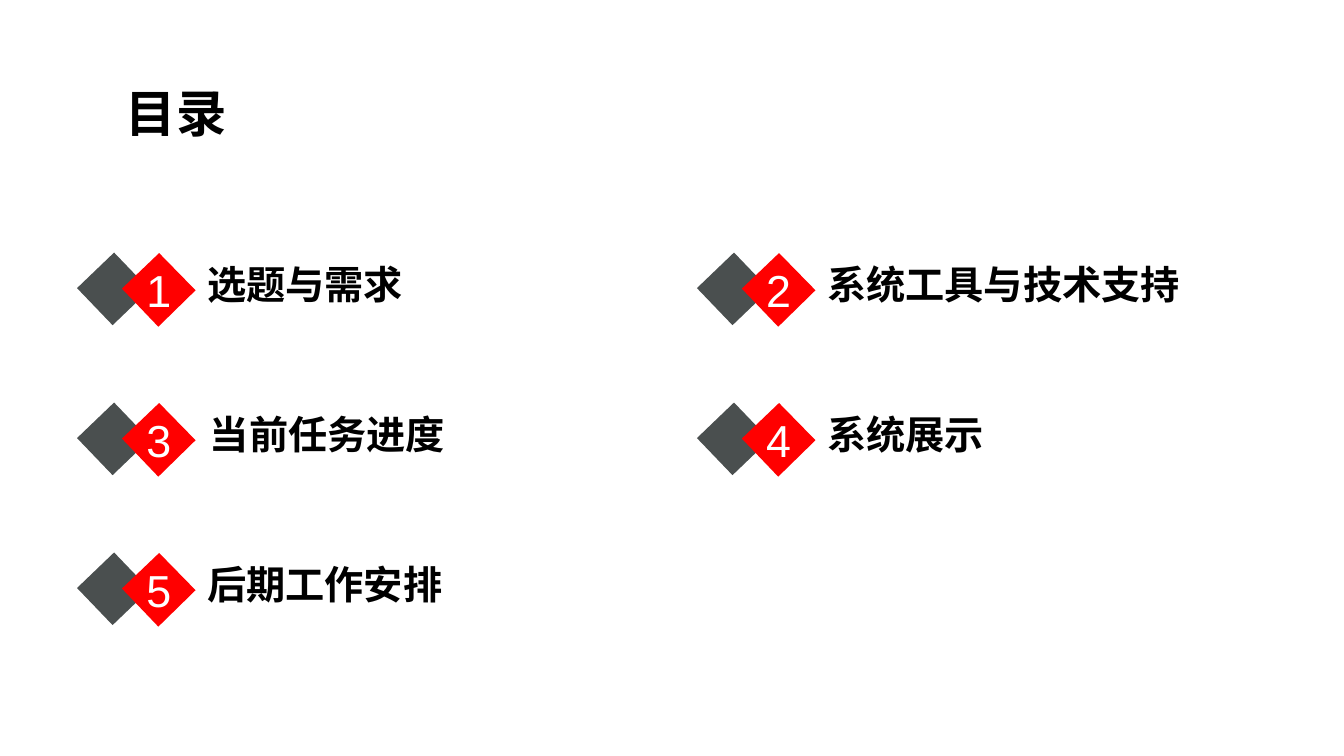
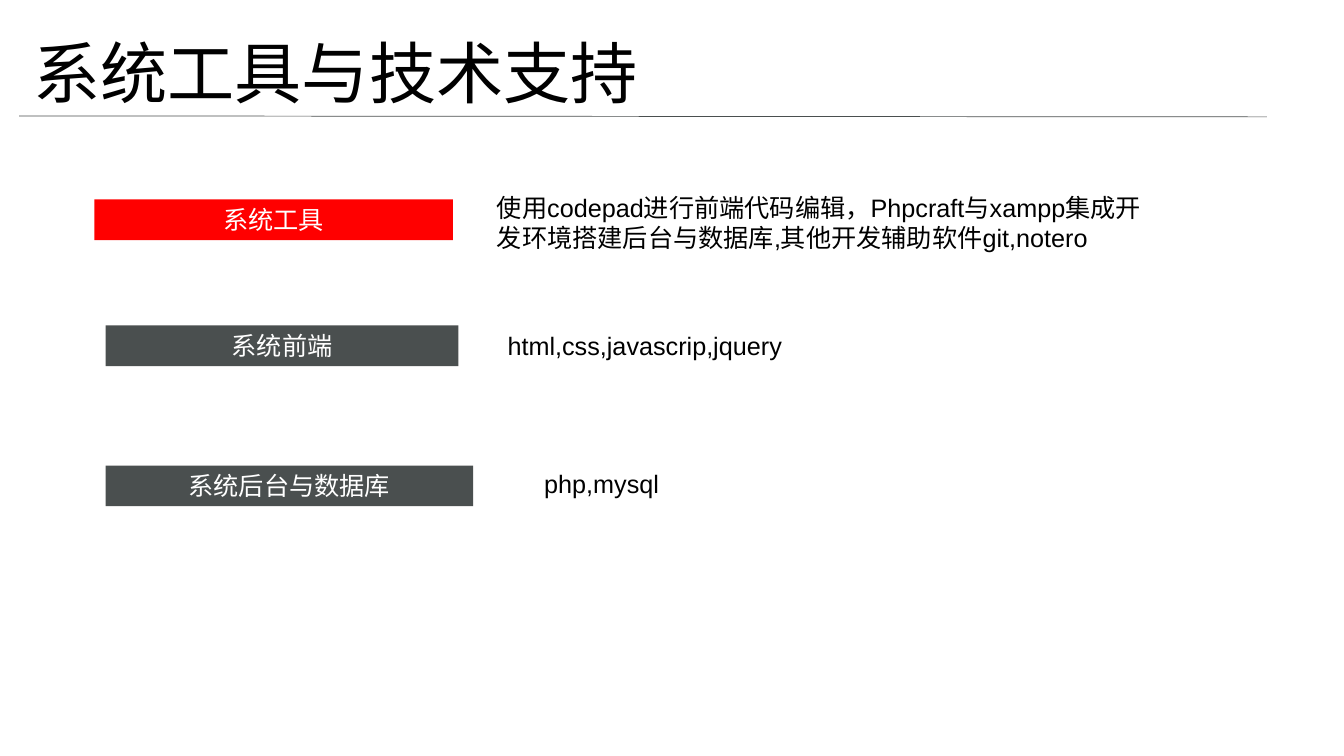
from pptx import Presentation
from pptx.util import Pt
from pptx.dml.color import RGBColor as Rgb
from pptx.enum.lang import MSO_LANGUAGE_ID as Lang
from pptx.enum.shapes import MSO_SHAPE as Kind, MSO_CONNECTOR as Conn
from pptx.enum.text import PP_ALIGN as Align, MSO_ANCHOR as Anchor, MSO_AUTO_SIZE as Auto
from lxml.etree import SubElement as Sub
from pptx.oxml.ns import qn

COLORS = {"red": "FF0000", "gray": "4A4F4F", "black": "000000", "white": "FFFFFF"}
FONT = "Arial"


class Deck:
    """Holds the style and the current slide."""

    def __init__(self):
        self.prs = Presentation()
        self.prs.slide_width, self.prs.slide_height = Pt(960), Pt(540)
        self.slide = None

    def page(self):
        self.slide = self.prs.slides.add_slide(self.prs.slide_layouts[6])

    def letter(self, shape, text, size, color="black", bold=False, align=Align.LEFT,
               anchor=Anchor.TOP, space=None, grow=False):
        frame = shape.text_frame
        frame.word_wrap = True
        frame.vertical_anchor = anchor
        frame.auto_size = Auto.SHAPE_TO_FIT_TEXT if grow else Auto.NONE
        para = frame.paragraphs[0]
        para.alignment = align
        para.line_spacing = space
        run = para.add_run()
        run.text = text
        font = run.font
        font.name, font.size, font.bold = FONT, Pt(size), bold
        font.language_id = Lang.SIMPLIFIED_CHINESE
        font.color.rgb = Rgb.from_string(COLORS[color])

    def paint(self, shape, color):
        shape.shadow.inherit = False
        shape.fill.solid()
        shape.fill.fore_color.rgb = Rgb.from_string(COLORS[color])
        shape.line.fill.background()

    def text(self, x, y, w, h, words, size, **style):
        box = self.slide.shapes.add_textbox(Pt(x), Pt(y), Pt(w), Pt(h))
        self.letter(box, words, size, **style)

    def rect(self, x, y, w, h, color, turn=0):
        shape = self.slide.shapes.add_shape(Kind.RECTANGLE, Pt(x), Pt(y), Pt(w), Pt(h))
        shape.rotation = turn
        self.paint(shape, color)
        return shape

    def label(self, x, y, w, words, color):
        bar = self.rect(x, y, w, 29, color)
        self.letter(bar, words, 18, "white", align=Align.CENTER, grow=True)

    def badge(self, x, y, number):
        """A gray tilted square behind a red numbered diamond."""
        self.rect(x, y, 36.7, 36.7, "gray", turn=46.2)
        left, top = x + 24.5, y - 7.2
        dots = [(Pt(left + dx), Pt(top + dy))
                for dx, dy in ((26.6, 0), (52.6, 26.6), (26, 52.6), (0, 25.4))]
        pen = self.slide.shapes.build_freeform(*dots[0])
        pen.add_line_segments(dots[1:], close=True)
        gem = pen.convert_to_shape()
        self.paint(gem, "red")
        self.letter(gem, str(number), 32, "white", align=Align.CENTER, anchor=Anchor.MIDDLE)

    def rule(self, x1, y1, x2, y2):
        line = self.slide.shapes.add_connector(Conn.STRAIGHT, Pt(x1), Pt(y1), Pt(x2), Pt(y2))
        line.line.width = Pt(0.5)
        line.line.color.rgb = Rgb.from_string(COLORS["gray"])
        Sub(line._element.spPr, qn("a:effectLst"))


def agenda(deck):
    deck.page()
    deck.text(10, 55.4, 159, 51, "目录", 36, bold=True, align=Align.RIGHT)
    # Two columns of numbered topics, with a small text shift for each
    topics = (("选题与需求", 0), ("系统工具与技术支持", 0), ("当前任务进度", 1.8),
              ("系统展示", 0), ("后期工作安排", 0))
    for i, (topic, shift) in enumerate(topics):
        row, col = divmod(i, 2)
        x, y = 62.6 + col * 442.8, 188 + row * 107.1
        deck.badge(x, y, i + 1)
        deck.text(x + 78.5 + shift, y - 1.7, 338, 41, topic, 28, bold=True, space=0.9)


def tools(deck):
    deck.page()
    # Heading
    deck.rule(13.7, 82.8, 905, 83.5)
    deck.text(16.6, 14.4, 677.5, 69, "系统工具与技术支持", 48, anchor=Anchor.BOTTOM)
    # Label (left, top, width), then its note (left, top, width, height)
    rows = (
        ("系统工具", "red", (67.5, 142.5, 256), (347.8, 134, 479.5, 51),
         "使用codepad进行前端代码编辑，Phpcraft与xampp集成开发环境搭建后台与数据库,其他开发辅助软件git,notero"),
        ("系统前端", "gray", (75.5, 232.5, 252), (355.5, 232.5, 487.5, 29),
         "html,css,javascrip,jquery"),
        ("系统后台与数据库", "gray", (75.5, 332.5, 262.5), (381.6, 330.8, 435.5, 29),
         "php,mysql"),
    )
    for name, color, bar, area, note in rows:
        deck.label(*bar, name, color)
        deck.text(*area, note, 18, grow=True)


def main():
    deck = Deck()
    agenda(deck)
    tools(deck)
    deck.prs.save("out.pptx")


if __name__ == "__main__":
    main()
